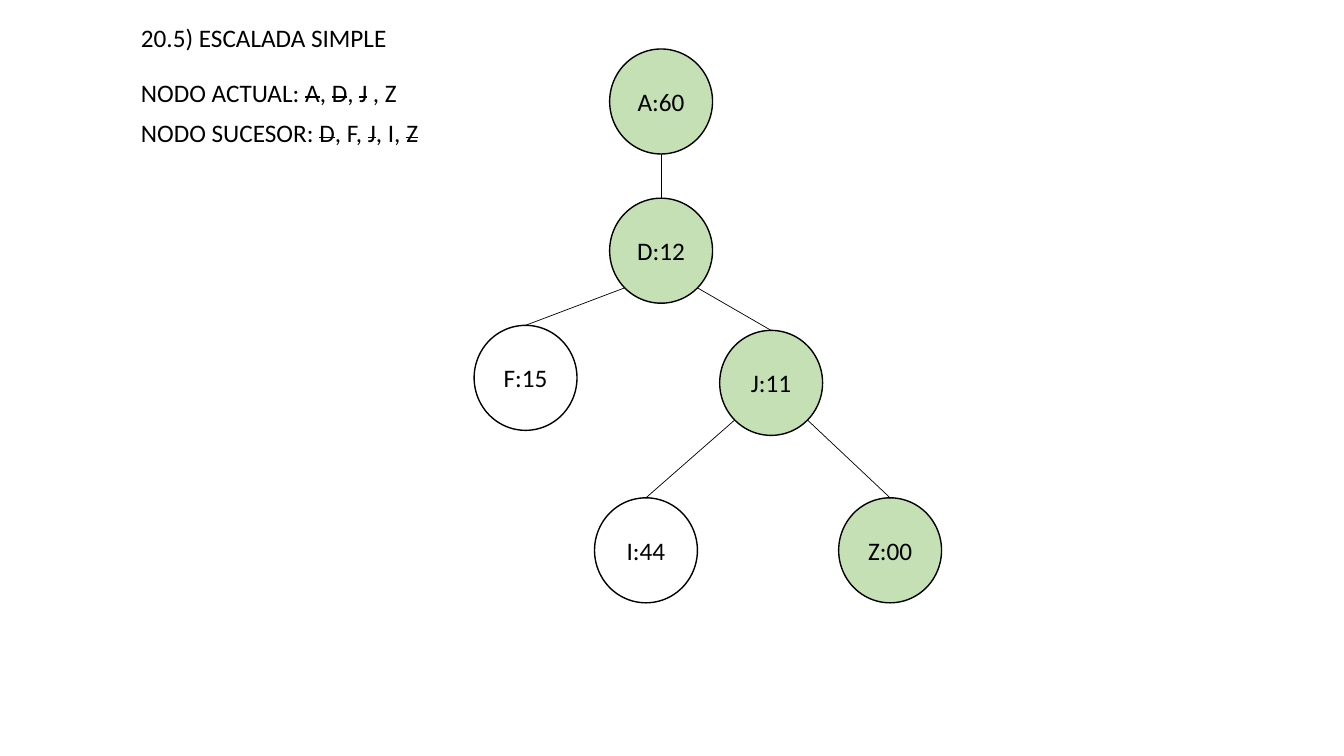
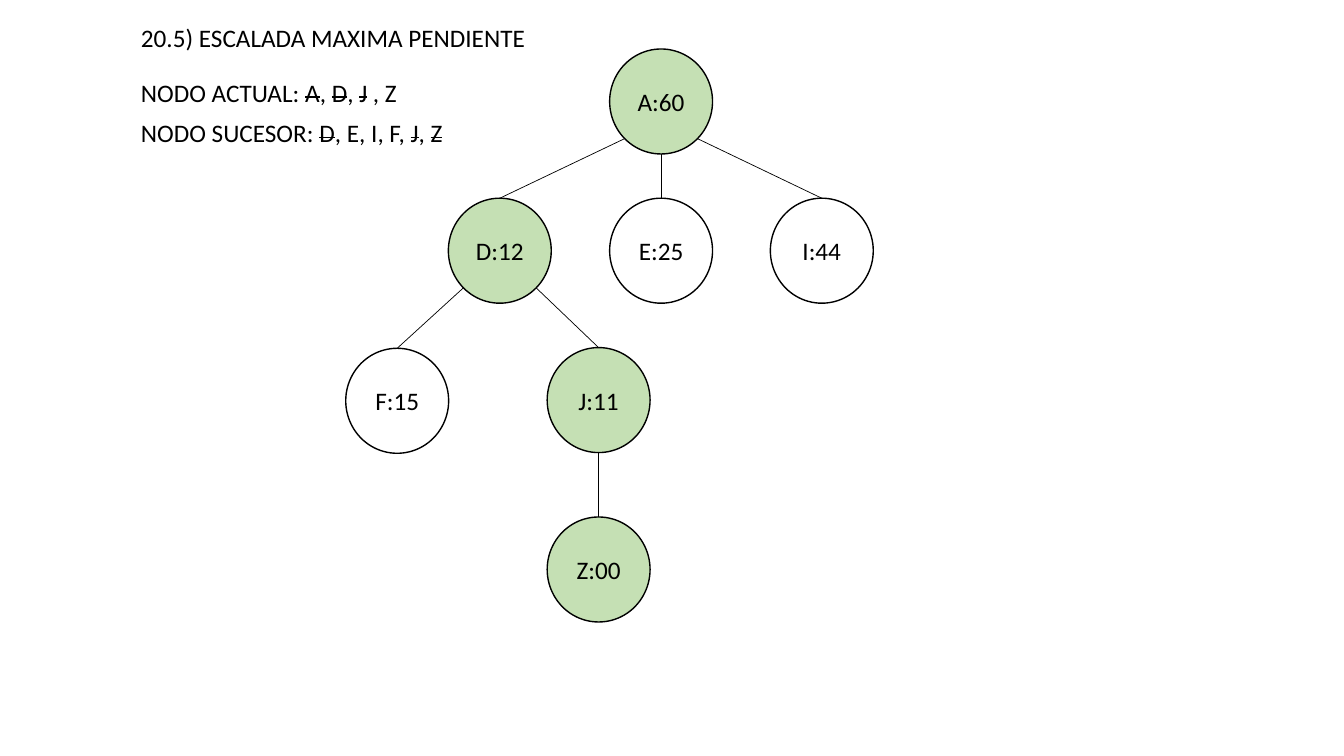
from math import sqrt

from lxml import etree
from pptx import Presentation
from pptx.dml.color import RGBColor
from pptx.enum import shapes, text
from pptx.oxml.ns import qn
from pptx.util import Pt

COLORS = {"ink": "000000", "visited": "C5E0B4", "open": "FFFFFF"}
FONT, SIZE = "Calibri", 18
NODE_W, NODE_H = 73.5, 75
TEXT_LEFT, TEXT_H = 93.6, 29
TEXT_TOPS = (12.2, 51.8, 80.6)

# Text between ~ marks is struck through.
# Node: name, value, parent, centre x, top, visited
SLIDES = [
    {
        "lines": [("20.5) ESCALADA SIMPLE", 212.4),
                  ("NODO ACTUAL: ~A~, ~D~, ~J~ , Z", 198.7),
                  ("NODO SUCESOR: ~D~, F, ~J~, I, ~Z~", 218.2)],
        "nodes": [("A", "60", None, 472.2, 35, True),
                  ("D", "12", "A", 472.2, 141.6, True),
                  ("F", "15", "D", 375.4, 232.4, False),
                  ("J", "11", "D", 550.8, 236, True),
                  ("I", "44", "J", 461.4, 355.6, False),
                  ("Z", "00", "J", 635.8, 355.6, True)],
    },
    {
        "lines": [("20.5) ESCALADA MAXIMA PENDIENTE", 288.7),
                  ("NODO ACTUAL: ~A~, ~D~, ~J~ , Z", 198.7),
                  ("NODO SUCESOR: ~D~, E, I, F, ~J~, ~Z~", 231.1)],
        "nodes": [("A", "60", None, 472.2, 35, True),
                  ("D", "12", "A", 357, 141.6, True),
                  ("E", "25", "A", 472.2, 141.6, False),
                  ("I", "44", "A", 587, 141.6, False),
                  ("F", "15", "D", 283.7, 248.8, False),
                  ("J", "11", "D", 427.6, 248.3, True),
                  ("Z", "00", "J", 427.6, 369.3, True)],
    },
]


def color(name):
    return RGBColor.from_string(COLORS[name])


def style(p):
    p.font.name, p.font.size = FONT, Pt(SIZE)
    p.font.color.rgb = color("ink")


def add_text(s, line, width, top):
    tf = s.shapes.add_textbox(Pt(TEXT_LEFT), Pt(top), Pt(width), Pt(TEXT_H)).text_frame
    tf.word_wrap = False
    p = tf.paragraphs[0]
    style(p)
    for i, part in enumerate(line.split("~")):
        if part:
            r = p.add_run()
            r.text = part
            if i % 2:
                r._r.get_or_add_rPr().set("strike", "sngStrike")


def add_node(s, label, cx, top, visited):
    sp = s.shapes.add_shape(shapes.MSO_SHAPE.OVAL, Pt(cx - NODE_W / 2), Pt(top),
                            Pt(NODE_W), Pt(NODE_H))
    sp.shadow.inherit = False
    sp.fill.solid()
    sp.fill.fore_color.rgb = color("visited" if visited else "open")
    sp.line.color.rgb, sp.line.width = color("ink"), Pt(1)
    tf = sp.text_frame
    tf.margin_left = tf.margin_right = 0
    tf.vertical_anchor = text.MSO_ANCHOR.MIDDLE
    p = tf.paragraphs[0]
    p.text, p.alignment = label, text.PP_ALIGN.CENTER
    style(p)
    return sp


def add_edge(s, parent, child, child_sp):
    """Leave the parent at its bottom or lower diagonal; enter the child at its top."""
    (px, py), (cx, cy) = parent, child
    side = (cx > px) - (cx < px)
    x = px + side * NODE_W / 2 / sqrt(2)
    y = py + NODE_H / 2 * (1 + (1 / sqrt(2) if side else 1))
    c = s.shapes.add_connector(shapes.MSO_CONNECTOR.STRAIGHT, Pt(x), Pt(y), Pt(cx), Pt(cy))
    c.end_connect(child_sp, 0)
    c.line.color.rgb, c.line.width = color("ink"), Pt(0.5)
    etree.SubElement(c._element.spPr, qn("a:effectLst"))


def main():
    prs = Presentation()
    prs.slide_width, prs.slide_height = Pt(960), Pt(540)
    for data in SLIDES:
        s = prs.slides.add_slide(prs.slide_layouts[6])
        # Heading and node lists
        for (line, width), top in zip(data["lines"], TEXT_TOPS):
            add_text(s, line, width, top)
        # Search tree
        places = {}
        for name, value, parent, cx, top, visited in data["nodes"]:
            sp = add_node(s, f"{name}:{value}", cx, top, visited)
            places[name] = (cx, top)
            if parent:
                add_edge(s, places[parent], places[name], sp)
    prs.save("out.pptx")


if __name__ == "__main__":
    main()
